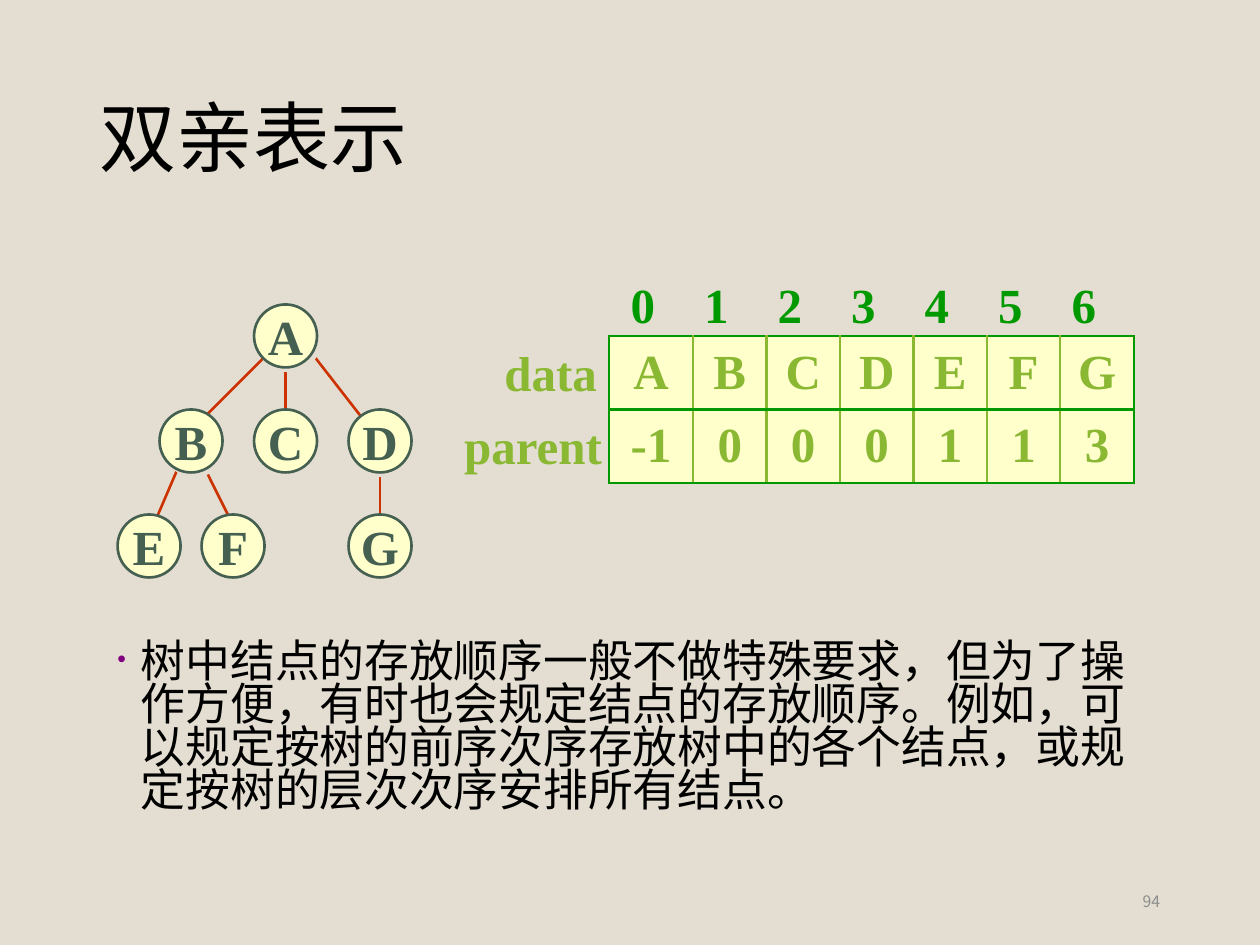
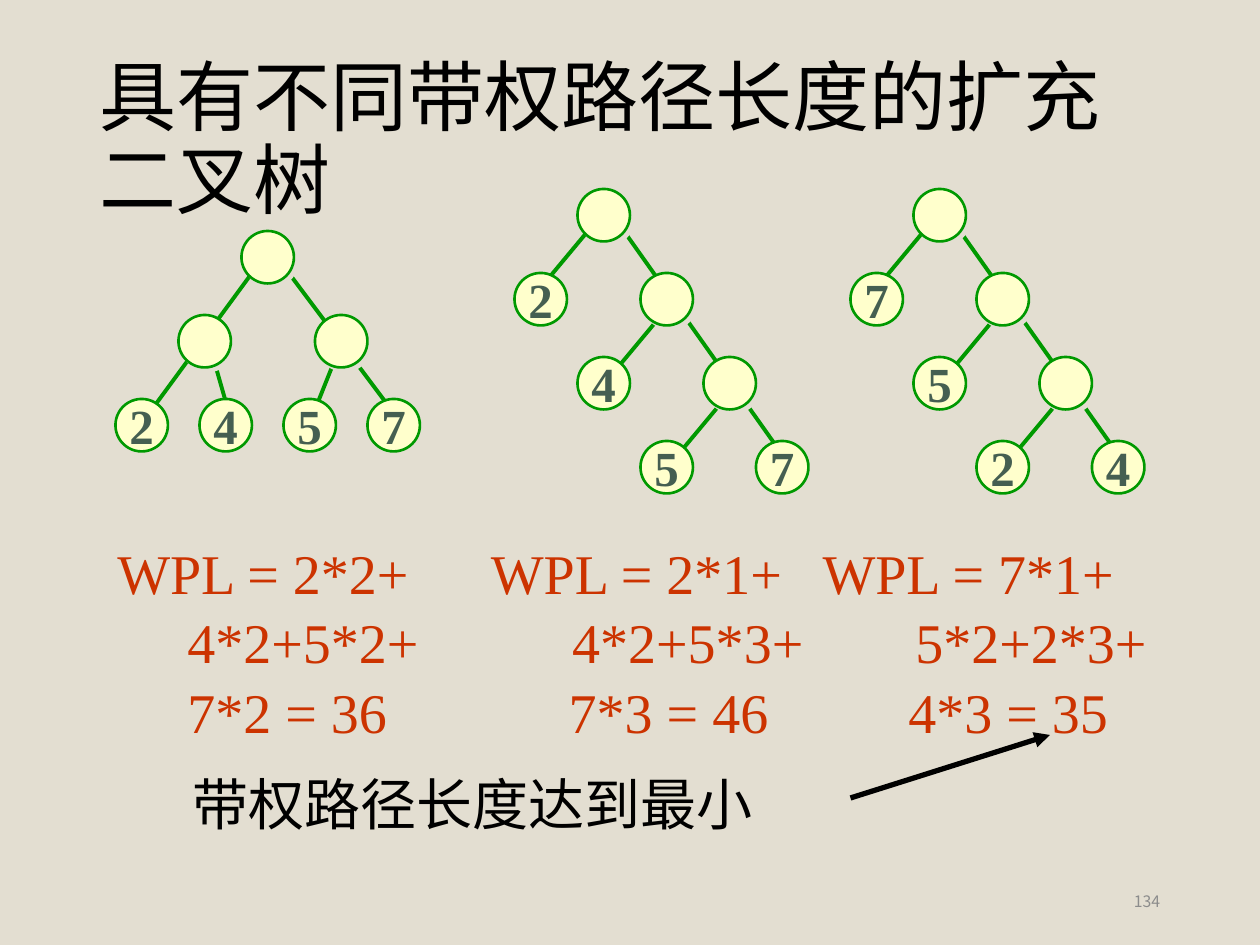
from lxml.etree import SubElement
from pptx import Presentation
from pptx.dml.color import RGBColor
from pptx.enum.shapes import MSO_CONNECTOR, MSO_SHAPE
from pptx.enum.text import MSO_ANCHOR, PP_ALIGN
from pptx.oxml.ns import qn
from pptx.util import Pt

SAND = RGBColor(0xE3, 0xDE, 0xD1)
CREAM = RGBColor(0xFF, 0xFF, 0xCC)
SLATE = RGBColor(0x45, 0x5F, 0x51)
GREEN = RGBColor(0x00, 0x99, 0x00)
LIME = RGBColor(0x8A, 0xB8, 0x33)
RUST = RGBColor(0xCC, 0x33, 0x00)
PLUM = RGBColor(0x80, 0x00, 0x80)
GRAY = RGBColor(0x8C, 0x8C, 0x8C)
BLACK = RGBColor(0x00, 0x00, 0x00)

SANS, SERIF = "Noto Sans CJK SC", "Times New Roman"
HEAD = {"name": SANS, "size": Pt(44)}
BODY = {"name": SANS, "size": Pt(25.6)}
NOTE = {"name": SANS, "size": Pt(32)}
PAGE = {"name": SANS, "size": Pt(9)}
MATH = {"name": SERIF, "size": Pt(32)}
LABEL = {"name": SERIF, "size": Pt(28), "bold": True}
FLUSH = {"margin_left": 0, "margin_right": 0, "margin_top": 0, "margin_bottom": 0}
MIDDLE = FLUSH | {"vertical_anchor": MSO_ANCHOR.MIDDLE}

ABC_NODES = [(78, 0, "A"), (24, 60, "B"), (78, 60, "C"), (132, 60, "D"),
             (0, 120, "E"), (48, 120, "F"), (132, 120, "G")]
ABC_EDGES = [(150, 90, 150, 132), (108, 24, 150, 78), (48, 90, 66, 126),
             (36, 90, 18, 132), (84, 30, 48, 66), (96, 30, 96, 66)]
FULL_NODES = [(72, 0, ""), (36, 48, ""), (114, 48, ""), (0, 96, "2"),
              (48, 96, "4"), (96, 96, "5"), (144, 96, "7")]
FULL_EDGES = [(90, 12, 162, 108), (126, 72, 114, 102), (54, 66, 66, 108),
              (78, 24, 12, 114)]
CHAIN_SPOTS = [(36, 0), (72, 48), (108, 96), (0, 48), (36, 96), (72, 144), (138, 144)]
CHAIN_EDGES = [(42, 24, 12, 60), (84, 72, 54, 108), (120, 120, 90, 156),
               (54, 12, 156, 156)]
SUMS = [(67, [("WPL = 2*2+", 0), ("4*2+5*2+", 40), ("7*2 = 36", 40)]),
        (280.5, [("WPL = 2*1+", 0), ("4*2+5*3+", 46.5), ("7*3 = 46", 44.5)]),
        (470, [("WPL = 7*1+", 0), ("5*2+2*3+", 53), ("4*3 = 35", 49)])]


def apply(item, form):
    """Set each format value on the item."""
    for key, value in form.items():
        setattr(item, key, value)


def write(para, words, form, color, align=PP_ALIGN.LEFT):
    """Add one formatted run to a paragraph."""
    para.alignment = align
    run = para.add_run()
    run.text = words
    apply(run.font, form)
    run.font.color.rgb = color
    SubElement(run.font._element, qn("a:ea"), typeface=form["name"])


def place(shape, box):
    """Move a shape to left, top, width and height in points."""
    apply(shape, dict(zip(("left", "top", "width", "height"), map(Pt, box))))


def label(slide, words, box, form, color, align=PP_ALIGN.CENTER):
    """Add a one-line text box."""
    frame = slide.shapes.add_textbox(*map(Pt, box)).text_frame
    apply(frame, MIDDLE | {"word_wrap": False})
    write(frame.paragraphs[0], words, form, color, align)


def line(slide, ends, color, width, arrow=False):
    """Draw a straight line, with an arrowhead if asked."""
    link = slide.shapes.add_connector(MSO_CONNECTOR.STRAIGHT, *map(Pt, ends))
    link.line.color.rgb = color
    link.line.width = Pt(width)
    props = link._element.spPr
    if arrow:
        SubElement(props.find(qn("a:ln")), qn("a:tailEnd"), type="triangle")
    SubElement(props, qn("a:effectLst"))


def node(slide, left, top, size, words, color):
    """Draw a round tree node with a soft gap below it."""
    ball = slide.shapes.add_shape(MSO_SHAPE.OVAL, *map(Pt, (left, top, size, size)))
    ball.fill.solid()
    ball.fill.fore_color.rgb = CREAM
    ball.line.color.rgb = color
    ball.line.width = Pt(1.5)
    ball.shadow.inherit = False
    fx = ball._element.spPr.find(qn("a:effectLst"))
    shade = SubElement(fx, qn("a:outerShdw"), dist=str(Pt(2.8)), dir="2700000",
                       algn="ctr", rotWithShape="0")
    SubElement(shade, qn("a:srgbClr"), val=str(SAND))
    if words:
        apply(ball.text_frame, MIDDLE | {"word_wrap": False})
        write(ball.text_frame.paragraphs[0], words, LABEL, SLATE, PP_ALIGN.CENTER)


def tree(slide, left, top, nodes, edges, size, ring, ink, width):
    """Draw the edges of a tree and then its nodes."""
    for x1, y1, x2, y2 in edges:
        line(slide, (left + x1, top + y1, left + x2, top + y2), ink, width)
    for x, y, words in nodes:
        node(slide, left + x, top + y, size, words, ring)


def border(cell, sides):
    """Give the cell its coloured sides."""
    props = cell._tc.get_or_add_tcPr()
    for side, color in sides.items():
        edge = SubElement(props, qn(f"a:ln{side}"), w=str(Pt(1.5)))
        fill = SubElement(edge, qn("a:solidFill"))
        SubElement(fill, qn("a:srgbClr"), val=str(color))


def grid(slide, rows, box):
    """Add the array as a table with a wider first column."""
    last = len(rows[0]) - 1
    table = slide.shapes.add_table(len(rows), last + 1, *map(Pt, box)).table
    apply(table, {"first_row": False, "horz_banding": False})
    for col, column in enumerate(table.columns):
        column.width = Pt(42 if col else 48)
    for row, words in enumerate(rows):
        table.rows[row].height = Pt(42)
        for col, word in enumerate(words):
            cell = table.cell(row, col)
            border(cell, {"L": LIME if col else GREEN,
                          "R": LIME if col < last else GREEN,
                          "T": GREEN, "B": GREEN})
            cell.fill.solid()
            cell.fill.fore_color.rgb = CREAM
            apply(cell, MIDDLE)
            write(cell.text_frame.paragraphs[0], word, LABEL, LIME, PP_ALIGN.CENTER)


def bullet(shape, words, box):
    """Fill the body placeholder with one bulleted paragraph."""
    place(shape, box)
    para = shape.text_frame.paragraphs[0]
    props = para._p.get_or_add_pPr()
    apply(para, {"line_spacing": 0.8, "space_before": Pt(0)})
    props.set("marL", str(Pt(13.5)))
    props.set("indent", str(Pt(-13.5)))
    tint = SubElement(props, qn("a:buClr"))
    SubElement(tint, qn("a:srgbClr"), val=str(PLUM))
    SubElement(props, qn("a:buSzPct"), val="55000")
    SubElement(props, qn("a:buChar"), char="•")
    write(para, words, BODY, BLACK)


def sums(slide, left, lines):
    """Write one path length sum with its own indents."""
    frame = slide.shapes.add_textbox(*map(Pt, (left, 307.5, 190, 115))).text_frame
    apply(frame, FLUSH | {"word_wrap": False})
    for i, (words, indent) in enumerate(lines):
        para = frame.add_paragraph() if i else frame.paragraphs[0]
        para.space_before = Pt(1.5 if i else 0)
        para._p.get_or_add_pPr().set("marL", str(Pt(indent)))
        write(para, words, MATH, RUST)


def start(deck, layout, title, page):
    """Add a slide with its title and page number."""
    slide = deck.slides.add_slide(deck.slide_layouts[layout])
    head = slide.shapes.title
    place(head, (49.5, 28.8, 621, 104.4))
    head.text_frame.vertical_anchor = MSO_ANCHOR.MIDDLE
    head.text_frame.paragraphs[0].line_spacing = 0.9
    write(head.text_frame.paragraphs[0], title, HEAD, BLACK)
    label(slide, page, (508.5, 500.4, 154.5, 28.8), PAGE, GRAY, PP_ALIGN.RIGHT)
    return slide


def parents(deck):
    """Build the slide on parent arrays."""
    slide = start(deck, 1, "双亲表示", "94")
    tree(slide, 67.2, 174, ABC_NODES, ABC_EDGES, 36, SLATE, RUST, 1.5)
    grid(slide, ["ABCDEFG", ["-1", *"000113"]], (348, 192, 300, 84))
    label(slide, "data", (280.8, 192, 67.7, 41), LABEL, LIME)
    label(slide, "parent", (257.8, 234, 93.6, 41), LABEL, LIME)
    for i in range(7):
        label(slide, str(i), (346.4 + 42 * i, 153.4, 42, 41), LABEL, GREEN)
    bullet(slide.placeholders[1],
           "树中结点的存放顺序一般不做特殊要求，但为了操作方便，有时也会规定结点的"
           "存放顺序。例如，可以规定按树的前序次序存放树中的各个结点，或规定按树的"
           "层次次序安排所有结点。", (59.8, 363.6, 614.9, 124.6))


def weights(deck):
    """Build the slide on weighted path lengths."""
    slide = start(deck, 5, "具有不同带权路径长度的扩充二叉树", "134")
    look = (30, GREEN, GREEN, 2.25)
    tree(slide, 66, 132, FULL_NODES, FULL_EDGES, *look)
    for left, leaves in ((294, "2457"), (486, "7524")):
        nodes = [(x, y, word) for (x, y), word in zip(CHAIN_SPOTS, ["", "", "", *leaves])]
        tree(slide, left, 108, nodes, CHAIN_EDGES, *look)
    for left, lines in SUMS:
        sums(slide, left, lines)
    label(slide, "带权路径长度达到最小", (110, 436, 322, 46), NOTE, BLACK, PP_ALIGN.LEFT)
    line(slide, (486, 456, 600, 420), BLACK, 3, arrow=True)


def main():
    """Build and save the slides."""
    deck = Presentation()
    apply(deck, {"slide_width": Pt(720), "slide_height": Pt(540)})
    back = deck.slide_master.background.fill
    back.solid()
    back.fore_color.rgb = SAND
    parents(deck)
    weights(deck)
    deck.save("out.pptx")


if __name__ == "__main__":
    main()
